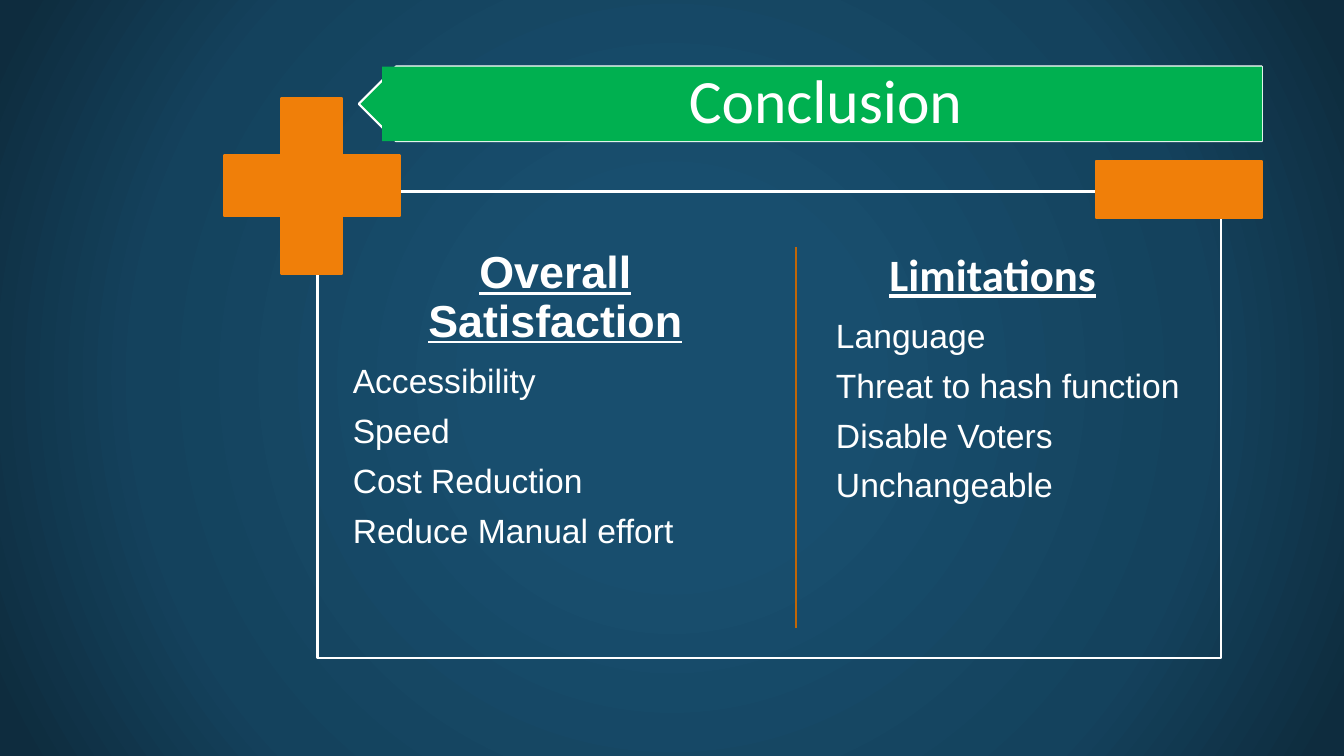
"""Build the Conclusion slide, weighing overall satisfaction against limitations."""
from dataclasses import dataclass
from typing import Any, Optional

from pptx import Presentation
from pptx import oxml
from pptx import util as u
from pptx.dml import color
from pptx.enum import shapes, text
from pptx.oxml import ns

COLORS = {
    "white": "FFFFFF",
    "green": "00B050",
    "orange": "F07F09",
    "divider": "C06607",
    "bg_center": "184E6E",
    "bg_middle": "14425D",
    "bg_edge": "0E2C3E",
}
BG_STOPS = ((0, "bg_center"), (23, "bg_center"), (69, "bg_middle"), (97, "bg_edge"))
LINE_WIDTH = u.Pt(1.5)
LINE_SPACING = 0.9


@dataclass
class Box:
    """A preset shape with its place and colours."""
    kind: Any
    left: float
    top: float
    width: float
    height: float
    line: str
    fill: Optional[str] = None
    rotation: float = 0
    adjust: Optional[float] = None


@dataclass
class Column:
    """A headed list of points."""
    left: float
    top: float
    heading: str
    items: tuple[str, ...]
    heading_font: str
    heading_indent: float = 0
    item_indent: float = 0


BANNER_ARROW = Box(shapes.MSO_SHAPE.PENTAGON, 256.3, 47.5, 645.1, 53.3,
                   "white", "green", rotation=180)
FRAME = Box(shapes.MSO_SHAPE.RECTANGLE, 226.8, 136.8, 645.1, 333.4, "white")
SIGNS = (
    Box(shapes.MSO_SHAPE.CROSS, 159.8, 69.8, 126, 126, "orange", "orange", adjust=0.328),
    Box(shapes.MSO_SHAPE.RECTANGLE, 782.6, 115.2, 118.8, 40.3, "orange", "orange"),
)
COLUMNS = (
    Column(247, 173.5, "Overall Satisfaction",
           ("Accessibility", "Speed", "Cost Reduction", "Reduce Manual effort"), "Arial"),
    Column(552.2, 175.7, "Limitations",
           ("Language", "Threat to hash function", "Disable Voters", "Unchangeable"),
           "Calibri", heading_indent=14.5, item_indent=40),
)


def rgb(name: str) -> color.RGBColor:
    """Look up a named colour."""
    return color.RGBColor.from_string(COLORS[name])


def paint_background(s: Any) -> None:
    """Give the slide a radial gradient."""
    s.background.fill.solid()
    stops = "".join(f'<a:gs pos="{pos * 1000}"><a:srgbClr val="{COLORS[name]}"/></a:gs>'
                    for pos, name in BG_STOPS)
    grad = oxml.parse_xml(
        f'<a:gradFill {ns.nsdecls("a")} rotWithShape="1"><a:gsLst>{stops}</a:gsLst>'
        '<a:path path="circle"><a:fillToRect l="50000" t="50000" r="50000" b="50000"/>'
        '</a:path></a:gradFill>')
    solid = s.element.xpath(".//p:bgPr/a:solidFill")[0]
    solid.getparent().replace(solid, grad)


def add_box(s: Any, box: Box) -> None:
    """Draw a preset shape."""
    sp = s.shapes.add_shape(box.kind, u.Pt(box.left), u.Pt(box.top),
                            u.Pt(box.width), u.Pt(box.height))
    sp.shadow.inherit = False
    sp.rotation = box.rotation
    if box.adjust is not None:
        sp.adjustments[0] = box.adjust
    if box.fill:
        sp.fill.solid()
        sp.fill.fore_color.rgb = rgb(box.fill)
    else:
        sp.fill.background()
    sp.line.color.rgb = rgb(box.line)
    sp.line.width = LINE_WIDTH


def set_insets(tf: Any, left: float, top: float, right: float, bottom: float) -> None:
    """Set the margins of a text frame and let its lines wrap."""
    tf.margin_left, tf.margin_top = u.Pt(left), u.Pt(top)
    tf.margin_right, tf.margin_bottom = u.Pt(right), u.Pt(bottom)
    tf.word_wrap = True
    tf.auto_size = text.MSO_AUTO_SIZE.NONE


def style(p: Any, size: float, font: str, align: Any, after: float,
          heading: bool = False, indent: float = 0) -> None:
    """Format a paragraph and its runs."""
    p.alignment = align
    p.line_spacing = LINE_SPACING
    p.space_before = u.Pt(0)
    p.space_after = u.Pt(after)
    if indent:
        p._p.get_or_add_pPr().set("marL", str(u.Pt(indent)))
    for r in p.runs:
        r.font.size = u.Pt(size)
        r.font.name = font
        r.font.bold = heading
        r.font.underline = heading
        r.font.color.rgb = rgb("white")


def add_title(s: Any) -> None:
    """Place the title on top of the banner arrow."""
    sp = s.shapes.title
    sp.left, sp.top, sp.width, sp.height = (u.Pt(v) for v in (272.9, 47.5, 628.6, 53.3))
    sp.fill.solid()
    sp.fill.fore_color.rgb = rgb("green")
    tf = sp.text_frame
    tf.text = "Conclusion"
    tf.vertical_anchor = text.MSO_ANCHOR.MIDDLE
    set_insets(tf, 19.4, 7.9, 14.4, 7.9)
    style(tf.paragraphs[0], 44, "Calibri", text.PP_ALIGN.CENTER, 0)
    sp.element.getparent().append(sp.element)


def add_column(s: Any, col: Column) -> None:
    """Write a heading with its points below."""
    sp = s.shapes.add_textbox(u.Pt(col.left), u.Pt(col.top), u.Pt(299.5), u.Pt(285))
    tf = sp.text_frame
    set_insets(tf, 5, 5, 5, 5)
    p = tf.paragraphs[0]
    p.text = col.heading
    style(p, 32, col.heading_font, text.PP_ALIGN.CENTER, 13, True, col.heading_indent)
    for item in col.items:
        p = tf.add_paragraph()
        p.text = item
        style(p, 24, "Arial", text.PP_ALIGN.LEFT, 9.6, indent=col.item_indent)


def add_divider(s: Any) -> None:
    """Draw the line between the columns."""
    cx = s.shapes.add_connector(shapes.MSO_CONNECTOR.STRAIGHT, u.Pt(568.8), u.Pt(176.4),
                                u.Pt(568.8), u.Pt(448.6))
    cx.line.color.rgb = rgb("divider")
    cx.line.width = LINE_WIDTH
    cx.element.spPr.append(oxml.parse_xml(f'<a:effectLst {ns.nsdecls("a")}/>'))


def main() -> None:
    """Build and save the slide."""
    prs = Presentation()
    prs.slide_width, prs.slide_height = u.Pt(960), u.Pt(540)
    s = prs.slides.add_slide(prs.slide_layouts.get_by_name("Title Only"))
    paint_background(s)
    add_box(s, BANNER_ARROW)
    add_title(s)
    add_box(s, FRAME)
    for col in COLUMNS:
        add_column(s, col)
    for sign in SIGNS:
        add_box(s, sign)
    add_divider(s)
    prs.save("out.pptx")


if __name__ == "__main__":
    main()
